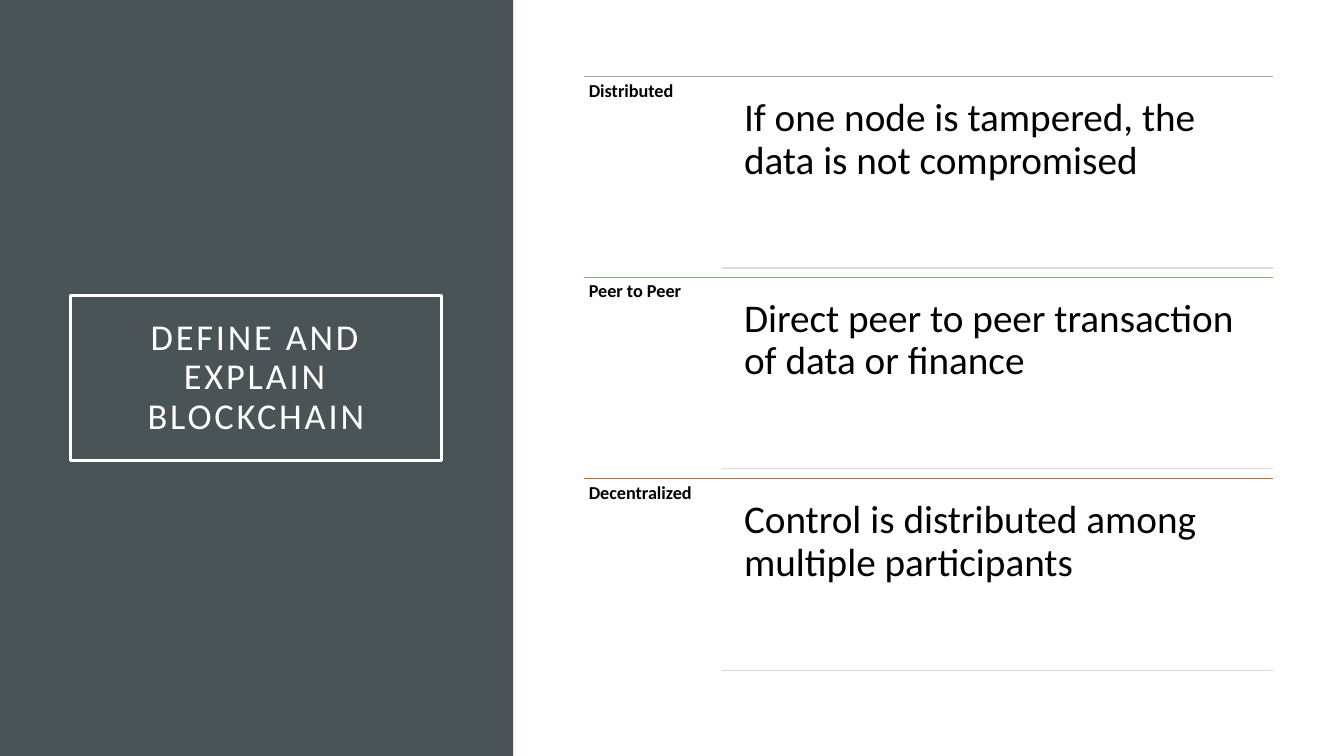
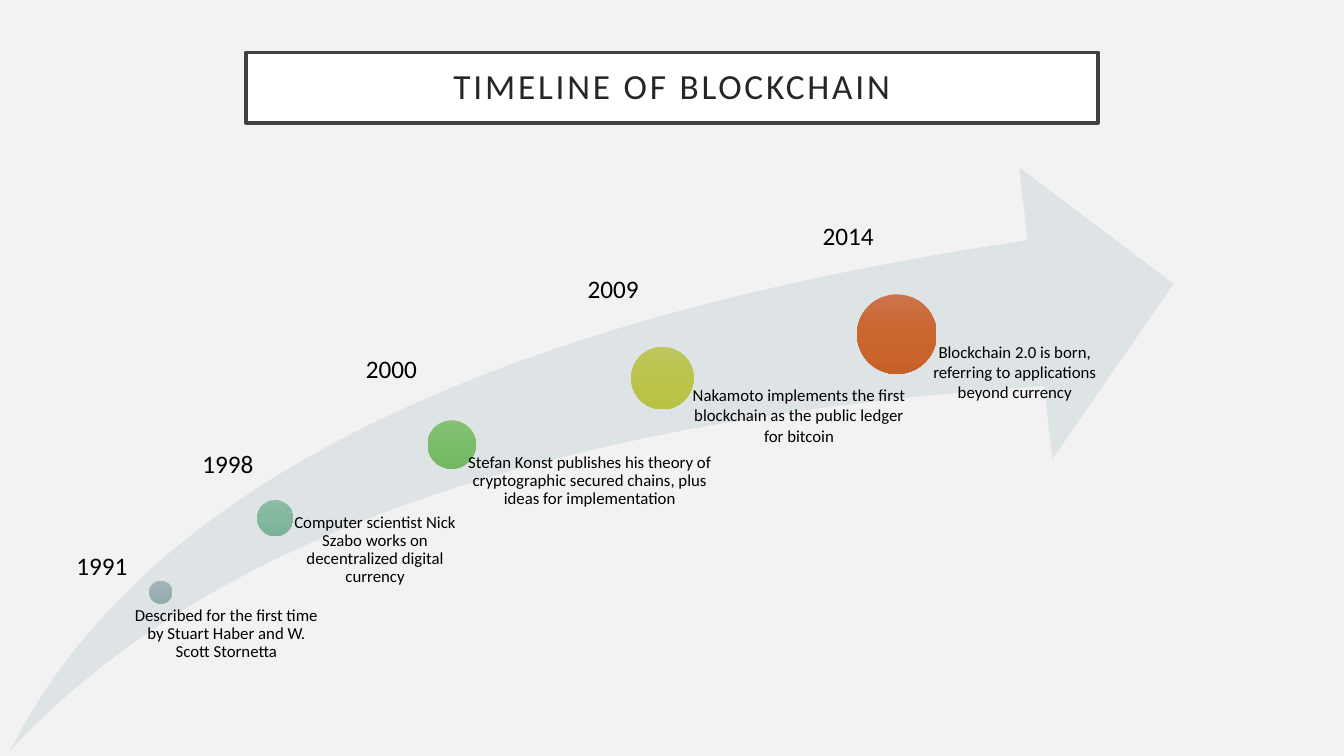
import copy

import pptx
import pptx.dml.color
import pptx.enum.shapes
import pptx.enum.text
import pptx.oxml.ns
import pptx.util

SHAPE = pptx.enum.shapes.MSO_SHAPE
ALIGN = pptx.enum.text.PP_ALIGN
ANCHOR = pptx.enum.text.MSO_ANCHOR
qn = pptx.oxml.ns.qn

PX = 9144  # EMU per px, 100 px to the inch
WIDTH, HEIGHT = 1333, 750


def px(*lengths):
    return [pptx.util.Emu(n * PX) for n in lengths]


def color(hex_text):
    return pptx.dml.color.RGBColor.from_string(hex_text)


class Deck:
    FONT = "Calibri"
    INK = "000000"

    def __init__(self):
        self.prs = pptx.Presentation()
        self.prs.slide_width, self.prs.slide_height = px(WIDTH, HEIGHT)
        self.s = None

    def slide(self, background):
        self.s = self.prs.slides.add_slide(self.prs.slide_layouts[6])
        fill = self.s.background.fill
        fill.solid()
        fill.fore_color.rgb = color(background)

    def shape(self, kind, box, fill=None, line=None, weight=2.5):
        sp = self.s.shapes.add_shape(kind, *px(*box))
        sp.shadow.inherit = False
        if fill:
            sp.fill.solid()
            sp.fill.fore_color.rgb = color(fill)
        else:
            sp.fill.background()
        if line:
            sp.line.color.rgb = color(line)
            sp.line.width = pptx.util.Pt(weight)
        else:
            sp.line.fill.background()
        return sp

    def rule(self, x1, x2, y, hex_text, weight):
        kind = pptx.enum.shapes.MSO_CONNECTOR.STRAIGHT
        cn = self.s.shapes.add_connector(kind, *px(x1, y, x2, y))
        cn.line.color.rgb = color(hex_text)
        cn.line.width = pptx.util.Pt(weight)
        pr = cn._element.spPr
        pr.append(pr.makeelement(qn("a:effectLst"), {}))

    def put_text(self, sp, text, size, ink=INK, bold=False, insets=(10, 5, 10, 5),
                 anchor=ANCHOR.TOP, align=ALIGN.LEFT, spacing=1.0):
        tf = sp.text_frame
        left, top, right, bottom = px(*insets)
        frame_format = {"word_wrap": True, "vertical_anchor": anchor,
                        "margin_left": left, "margin_top": top,
                        "margin_right": right, "margin_bottom": bottom}
        p = tf.paragraphs[0]
        r = p.add_run()
        r.text = text
        font_format = {"name": self.FONT, "size": pptx.util.Pt(size), "bold": bold}
        paragraph_format = {"alignment": align, "line_spacing": spacing}
        for target, values in ((tf, frame_format), (p, paragraph_format),
                               (r.font, font_format)):
            for name, value in values.items():
                setattr(target, name, value)
        r.font.color.rgb = color(ink)
        return r

    def text(self, box, text, size, **style):
        self.put_text(self.s.shapes.add_textbox(*px(*box)), text, size, **style)

    def title(self, box, text, size, ink, line, fill=None):
        sp = self.shape(SHAPE.RECTANGLE, box, fill, line)
        r = self.put_text(sp, text, size, ink=ink, insets=(20, 20, 20, 20),
                          anchor=ANCHOR.MIDDLE, align=ALIGN.CENTER, spacing=0.9)
        r._r.get_or_add_rPr().set("spc", "200")

    def dot(self, x, y, size, shades):
        sp = self.shape(SHAPE.OVAL, (x, y, size, size))
        sp.fill.gradient()
        sp.fill.gradient_angle = 270
        # Middle stop between the two default ones
        first = sp._element.spPr.find(".//" + qn("a:gs"))
        first.addnext(copy.deepcopy(first))
        for i, (stop, shade) in enumerate(zip(sp.fill.gradient_stops, shades)):
            stop.position = i / 2
            stop.color.rgb = color(shade)


FEATURES = [
    ("Distributed", "If one node is tampered, the data is not compromised", "9BAFB5"),
    ("Peer to Peer", "Direct peer to peer transaction of data or finance", "7ABC69"),
    ("Decentralized", "Control is distributed among multiple participants", "C96731"),
]

# Year, year position, dot (x, y, size), dot shades, caption,
# caption box, caption insets, line spacing
MILESTONES = [
    ("1991", (66, 541), (148, 576, 23), ("A3B5BB", "9BAFB5", "93A9AF"),
     "Described for the first time by Stuart Haber and W. Scott Stornetta",
     (119, 602, 199, 109), (12, 0, 0, 0), 0.9),
    ("1998", (191, 440), (255, 496, 36), ("8DBCA5", "83B89E", "7BB398"),
     "Computer scientist Nick Szabo works on decentralized digital currency",
     (272, 510, 181, 200), (19, 0, 0, 0), 0.9),
    ("2000", (353, 346), (424, 417, 48), ("85C076", "7ABD68", "73B960"),
     "Stefan Konst publishes his theory of cryptographic secured chains, "
     "plus ideas for implementation",
     (436, 450, 273, 74), (25, 0, 0, 0), 0.9),
    ("2009", (573, 266), (626, 344, 62), ("BEC65E", "BBC44B", "B8C243"),
     "Nakamoto implements the first blockchain as the public ledger for bitcoin",
     (676, 377, 233, 71), (10, 5, 10, 5), 1.0),
    ("2014", (806, 214), (850, 292, 79), ("CC734B", "CB662F", "C86128"),
     "Blockchain 2.0 is born, referring to applications beyond currency",
     (903, 334, 207, 71), (10, 5, 10, 5), 1.0),
]


def features_slide(deck):
    deck.slide("FFFFFF")
    # Side panel with the title
    deck.shape(SHAPE.RECTANGLE, (0, 0, 509, HEIGHT), "4A5356")
    deck.title((70, 293, 368, 164), "DEFINE AND EXPLAIN BLOCKCHAIN", 26,
               ink="FFFFFF", line="FFFFFF")
    # Ruled rows: label on the left, explanation on the right
    left, right = 579, 1263
    for i, (label, meaning, accent) in enumerate(FEATURES):
        y = 76 + i * 399 // 2
        deck.rule(left, right, y, accent, 0.5)
        deck.text((left, y, 137, 200), label, 13, bold=True,
                  insets=(5, 5, 5, 5), spacing=0.9)
        deck.text((726, y + 9, 537, 181), meaning, 28,
                  insets=(12, 12, 12, 12), spacing=0.9)
        deck.rule(716, right, y + 190, "D5DCDE", 1)


def timeline_slide(deck):
    deck.slide("F2F2F2")
    deck.title((244, 52, 845, 70), "TIMELINE OF BLOCKCHAIN", 25.2,
               ink="262626", line="404040", fill="FFFFFF")
    # Rising arrow
    sp = deck.shape(SHAPE.SWOOSH_ARROW, (10, 166, 1154, 579), "DEE3E5")
    for i in range(2):
        sp.adjustments[i] = 0.25
    # Milestones along the arrow
    for year, spot, dot, shades, caption, box, insets, spacing in MILESTONES:
        deck.dot(*dot, shades)
        deck.text(box, caption, 12, insets=insets, align=ALIGN.CENTER, spacing=spacing)
        deck.text((*spot, 107, 40), year, 18)


def main():
    deck = Deck()
    features_slide(deck)
    timeline_slide(deck)
    deck.prs.save("out.pptx")


if __name__ == "__main__":
    main()
